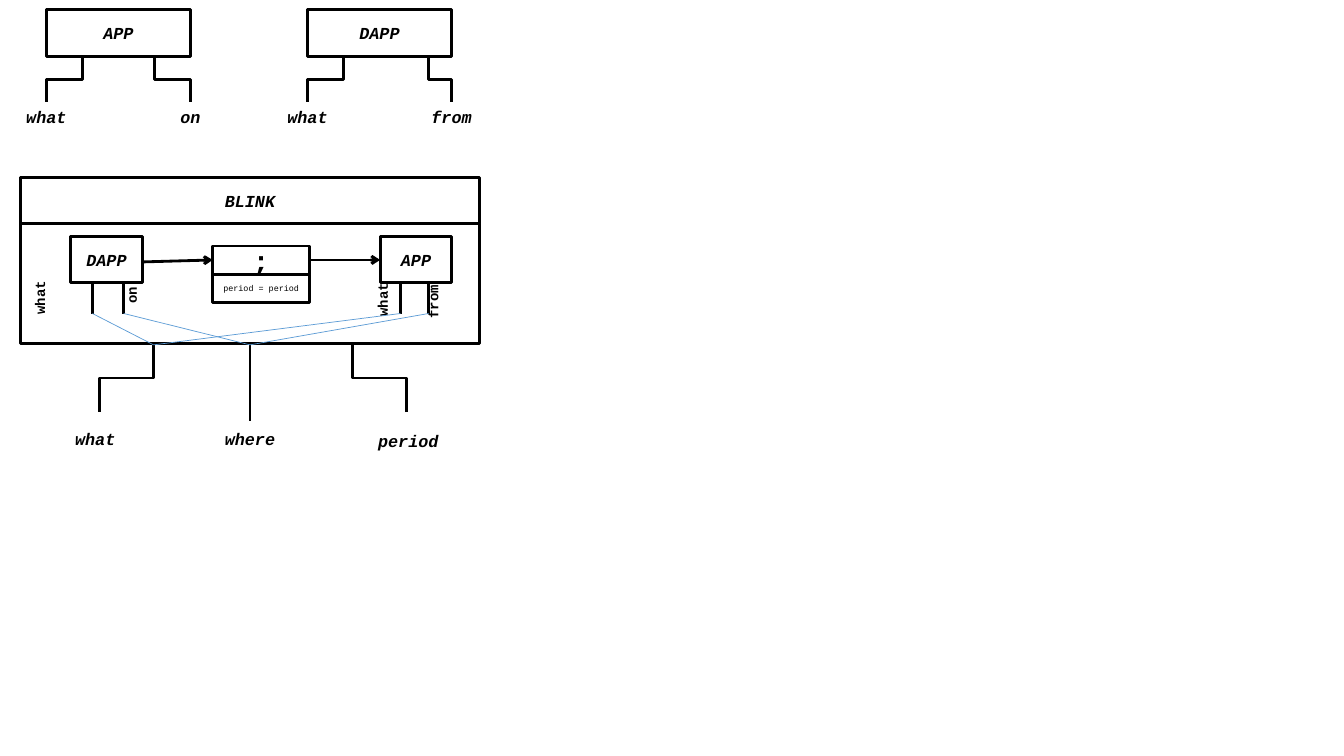
from dataclasses import dataclass

from lxml.etree import SubElement
from pptx import Presentation
from pptx.dml.color import RGBColor
from pptx.enum.shapes import MSO_CONNECTOR as LINE, MSO_SHAPE as SHAPE
from pptx.enum.text import MSO_ANCHOR as ANCHOR, MSO_AUTO_SIZE as AUTO, PP_ALIGN as ALIGN
from pptx.oxml.ns import qn
from pptx.util import Cm, Pt


@dataclass(frozen=True)
class Theme:
    """Font, colours, type sizes and line widths."""
    font: str = "Courier New"
    ink: RGBColor = RGBColor(0, 0, 0)
    link: RGBColor = RGBColor(0x5B, 0x9B, 0xD5)
    name: int = 12
    side: int = 10
    sign: int = 20
    small: int = 6
    stroke: float = 2
    thin: float = 0.5


T = Theme()
BOX_H = 1.17
LABEL_W, LABEL_H = 2.3, 0.78


def write(tf, text, size=T.name, bold=True, italic=True, align=ALIGN.CENTER):
    """Put one formatted run into a text frame."""
    p = tf.paragraphs[0]
    p.alignment = align
    r = p.add_run()
    r.text = text
    r.font.name, r.font.size = T.font, Pt(size)
    r.font.bold, r.font.italic = bold, italic
    r.font.color.rgb = T.ink


def box(shapes, x, y, w, h=BOX_H, text="", **fmt):
    """Draw an outlined rectangle, with text if given."""
    s = shapes.add_shape(SHAPE.RECTANGLE, Cm(x), Cm(y), Cm(w), Cm(h))
    s.shadow.inherit = False
    s.fill.background()
    s.line.color.rgb, s.line.width = T.ink, Pt(T.stroke)
    s.text_frame.vertical_anchor = ANCHOR.MIDDLE
    if text:
        write(s.text_frame, text, **fmt)


def label(shapes, center, y, text):
    """Write a label centred under a pin."""
    s = shapes.add_textbox(Cm(center - LABEL_W / 2), Cm(y), Cm(LABEL_W), Cm(LABEL_H))
    s.text_frame.word_wrap = True
    s.text_frame.auto_size = AUTO.SHAPE_TO_FIT_TEXT
    write(s.text_frame, text)


def side_label(shapes, x, y, h, text):
    """Write a label that reads upwards."""
    s = shapes.add_textbox(Cm(x), Cm(y), Cm(0.94), Cm(h))
    tf = s.text_frame
    tf.word_wrap = False
    tf.auto_size = AUTO.SHAPE_TO_FIT_TEXT
    tf._txBody.bodyPr.set("vert", "vert270")
    write(tf, text, size=T.side, italic=False, align=ALIGN.LEFT)


def line(shapes, start, end, kind=LINE.STRAIGHT, color=T.ink, width=T.stroke, arrow=False):
    """Draw a connector between two points and return it."""
    c = shapes.add_connector(kind, *(Cm(v) for v in (*start, *end)))
    c.line.color.rgb, c.line.width = color, Pt(width)
    if arrow:
        SubElement(c.line._get_or_add_ln(), qn("a:tailEnd"), type="arrow")
    SubElement(c.element.spPr, qn("a:effectLst"))
    return c


def elbow(shapes, top, bottom):
    """Draw a vertical-first elbow as a connector turned by a quarter."""
    (x1, y1), (x2, y2) = top, bottom
    cx, cy = (x1 + x2) / 2, (y1 + y2) / 2
    dx, dy = abs(x2 - x1) / 2, (y2 - y1) / 2
    to_right = x2 > x1
    rise = -dx if to_right else dx
    c = line(shapes, (cx - dy, cy - rise), (cx + dy, cy + rise), LINE.ELBOW)
    c.element.spPr.find(qn("a:xfrm")).set("rot", "16200000" if to_right else "5400000")


def gate(shapes, x, name, right_pin, right_text):
    """Draw a named box with two elbow pins and their labels."""
    w, y = 3.63, 0.25
    base, tip = y + BOX_H, 2.57
    box(shapes, x, y, w, text=name)
    for pin, end, text in ((x + 0.9, x, "what"), (x + w - right_pin, x + w, right_text)):
        elbow(shapes, (pin, base), (end, tip))
        label(shapes, end, tip, text)


def blink(shapes):
    """Draw the BLINK frame, its inner boxes, pins and links."""
    x, y, w = 0.51, 4.47, 11.58
    base, inner_y, inner_w, tip = 8.66, 5.96, 1.81, 7.9
    box(shapes, x, y, w, text="BLINK")
    box(shapes, x, y + BOX_H, w, base - y - BOX_H)

    inner = (("DAPP", 1.78, (2.33, 3.12)), ("APP", 9.58, (10.09, 10.8)))
    for name, left, pins in inner:
        box(shapes, left, inner_y, inner_w, text=name)
        for pin in pins:
            line(shapes, (pin, inner_y + BOX_H), (pin, tip))

    seq_x, seq_y, seq_w, seq_h = 5.36, 6.2, 2.44, 0.71
    group = shapes.add_group_shape().shapes
    box(group, seq_x, seq_y, seq_w, seq_h, ";", size=T.sign, italic=False)
    box(group, seq_x, seq_y + seq_h, seq_w, seq_h, "period = period",
        size=T.small, bold=False, italic=False)
    line(shapes, (3.59, 6.6), (seq_x, 6.55), arrow=True)
    line(shapes, (seq_x + seq_w, 6.55), (9.58, 6.55), arrow=True)

    for left, top, h, text in ((0.66, 7.06, 1.12, "what"), (2.97, 7.21, 0.69, "on"),
                               (9.3, 7.11, 1.12, "what"), (10.57, 7.16, 1.12, "from")):
        side_label(shapes, left, top, h, text)

    what, where = (3.87, 8.69), (6.3, 8.69)
    elbow(shapes, (3.87, base), (2.51, 10.39))
    elbow(shapes, (8.89, base), (10.24, 10.39))
    line(shapes, where, (6.3, 10.62))
    for center, top, text in ((2.4, 10.69, "what"), (6.3, 10.69, "where"),
                              (10.29, 10.74, "period")):
        label(shapes, center, top, text)

    for _, _, pins in inner:
        for joint, pin in zip((what, where), pins):
            line(shapes, joint, (pin, tip), color=T.link, width=T.thin)


def main():
    """Build the slide and save it."""
    prs = Presentation()
    prs.slide_width, prs.slide_height = Cm(33.87), Cm(19.05)
    shapes = prs.slides.add_slide(prs.slide_layouts[6]).shapes
    gate(shapes, 1.17, "APP", 0.9, "on")
    gate(shapes, 7.75, "DAPP", 0.58, "from")
    blink(shapes)
    prs.save("out.pptx")


main()
